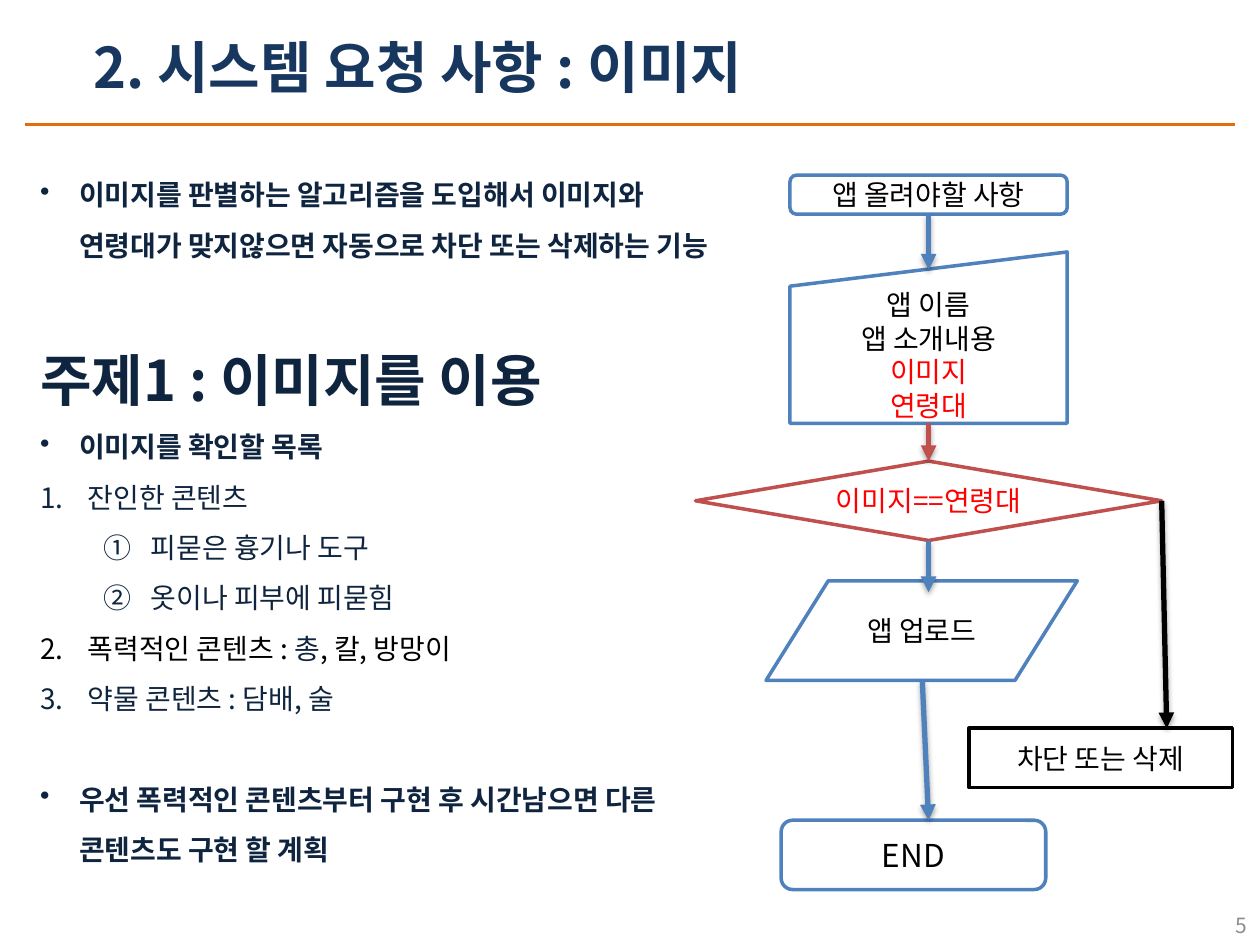
from dataclasses import dataclass
from lxml.etree import SubElement
from pptx import Presentation
from pptx.dml.color import RGBColor
from pptx.enum.shapes import MSO_CONNECTOR, MSO_SHAPE
from pptx.enum.text import MSO_ANCHOR, PP_ALIGN
from pptx.oxml.ns import qn
from pptx.util import Inches, Pt

NAVY = RGBColor(0x17, 0x37, 0x5E)
DARK_NAVY = RGBColor(0x0F, 0x24, 0x3E)
ORANGE = RGBColor(0xE4, 0x6C, 0x0A)
BLUE = RGBColor(0x4F, 0x81, 0xBD)
BRICK = RGBColor(0xC0, 0x50, 0x4D)
RED = RGBColor(0xFF, 0x00, 0x00)
GRAY = RGBColor(0x8C, 0x8C, 0x8C)
BLACK = RGBColor(0x00, 0x00, 0x00)
WHITE = RGBColor(0xFF, 0xFF, 0xFF)

COLUMNS, ROWS = 100, 75
BULLET = ("buChar", {"char": "•"}, 0.31, 0.31)
NUMBER = ("buAutoNum", {"type": "arabicPeriod"}, 0.38, 0.38)
CIRCLED = ("buAutoNum", {"type": "circleNumDbPlain"}, 0.88, 0.38)
BLANK_LINE = 28.8


def write(paragraph, text, size=16, color=BLACK, bold=False, font="Noto Sans CJK KR",
          align=PP_ALIGN.LEFT, spacing=None, before=0, level=0, marker=None):
    paragraph.alignment = align
    paragraph.level = level
    paragraph.space_before = Pt(before)
    if spacing:
        paragraph.line_spacing = spacing
    if marker:
        tag, attributes, margin, hanging = marker
        properties = paragraph._p.get_or_add_pPr()
        properties.set("marL", str(Inches(margin)))
        properties.set("indent", str(-Inches(hanging)))
        SubElement(properties, qn("a:" + tag), attributes)
    parts = [(text, color)] if isinstance(text, str) else text
    for part, part_color in parts:
        run = paragraph.add_run()
        run.text = part
        run.font.size = Pt(size)
        run.font.bold = bold
        run.font.color.rgb = part_color
        run.font.name = font
        SubElement(run._r.get_or_add_rPr(), qn("a:ea"), typeface=font)


def fill_frame(frame, lines, anchor=MSO_ANCHOR.TOP, wrap=True, **style):
    frame.word_wrap = wrap
    frame.vertical_anchor = anchor
    for index, (text, options) in enumerate(lines):
        paragraph = frame.add_paragraph() if index else frame.paragraphs[0]
        write(paragraph, text, **{**style, **options})


@dataclass
class SlideBuilder:
    presentation: object
    slide: object

    def x(self, columns):
        return round(self.presentation.slide_width * columns / COLUMNS)

    def y(self, rows):
        return round(self.presentation.slide_height * rows / ROWS)

    def box(self, left, top, width, height):
        return self.x(left), self.y(top), self.x(width), self.y(height)

    def title(self, area, text):
        shape = self.slide.shapes.title
        shape.left, shape.top, shape.width, shape.height = self.box(*area)
        fill_frame(shape.text_frame, [(text, {})], wrap=False,
                   size=32, color=NAVY, bold=True)

    def text(self, area, lines, **style):
        shape = self.slide.shapes.add_textbox(*self.box(*area))
        fill_frame(shape.text_frame, lines, **style)

    def node(self, kind, area, lines, line_color=BLUE, **style):
        shape = self.slide.shapes.add_shape(kind, *self.box(*area))
        shape.shadow.inherit = False
        shape.fill.solid()
        shape.fill.fore_color.rgb = WHITE
        shape.line.color.rgb = line_color
        shape.line.width = Pt(2)
        fill_frame(shape.text_frame, lines, anchor=MSO_ANCHOR.MIDDLE,
                   align=PP_ALIGN.CENTER, **style)
        return shape

    def line(self, start, end, color, width):
        connector = self.slide.shapes.add_connector(
            MSO_CONNECTOR.STRAIGHT, self.x(start[0]), self.y(start[1]),
            self.x(end[0]), self.y(end[1]))
        connector.line.color.rgb = color
        connector.line.width = Pt(width)
        effects = SubElement(connector._element.spPr, qn("a:effectLst"))
        return connector, effects

    def arrow(self, start, end, color=BLUE, source=None, target=None):
        connector, effects = self.line(start, end, color, 3)
        SubElement(connector.line._get_or_add_ln(), qn("a:tailEnd"), type="triangle")
        shadow = SubElement(effects, qn("a:outerShdw"), blurRad=str(Pt(3.1)),
                            dist=str(Pt(1.8)), dir="5400000", rotWithShape="0")
        shade = SubElement(shadow, qn("a:srgbClr"), val=str(BLACK))
        SubElement(shade, qn("a:alpha"), val="35000")
        if source:
            connector.begin_connect(*source)
        if target:
            connector.end_connect(*target)


def main():
    presentation = Presentation()
    presentation.slide_width, presentation.slide_height = Inches(10), Inches(7.5)
    slide = presentation.slides.add_slide(presentation.slide_layouts[5])
    builder = SlideBuilder(presentation, slide)

    builder.line((2, 9.9), (98, 9.9), ORANGE, 1.5)
    builder.title((6.4, 2.1, 59.7, 6.4), "2. 시스템 요청 사항 : 이미지")
    builder.text((76.7, 72.1, 23.3, 2.7), [("5", {})], anchor=MSO_ANCHOR.MIDDLE,
                 size=12, color=GRAY, align=PP_ALIGN.RIGHT)

    point = {"marker": BULLET, "bold": True}
    item = {"marker": NUMBER}
    detail = {"marker": CIRCLED, "level": 1}
    violence = [("폭력적인 콘텐츠 : ", BLACK), ("총", DARK_NAVY), (", 칼, 방망이", BLACK)]
    builder.text((2.2, 12.3, 56.7, 61.6), [
        ("이미지를 판별하는 알고리즘을 도입해서 이미지와 연령대가 맞지않으면 "
         "자동으로 차단 또는 삭제하는 기능", point),
        ("주제1 : 이미지를 이용", {"size": 32, "bold": True, "before": BLANK_LINE}),
        ("이미지를 확인할 목록", point),
        ("잔인한 콘텐츠", item),
        ("피묻은 흉기나 도구", detail),
        ("옷이나 피부에 피묻힘", detail),
        (violence, item),
        ("약물 콘텐츠 : 담배, 술", item),
        ("우선 폭력적인 콘텐츠부터 구현 후 시간남으면 다른 콘텐츠도 구현 할 계획",
         {**point, "before": BLANK_LINE}),
    ], color=DARK_NAVY, spacing=1.5)

    start = builder.node(MSO_SHAPE.FLOWCHART_ALTERNATE_PROCESS, (62.7, 13.9, 22, 3.1),
                         [("앱 올려야할 사항", {})])
    details = builder.node(MSO_SHAPE.FLOWCHART_MANUAL_INPUT, (62.7, 20, 22, 13.6), [
        ("앱 이름", {}), ("앱 소개내용", {}),
        ("이미지", {"color": RED}), ("연령대", {"color": RED})])
    decision = builder.node(MSO_SHAPE.FLOWCHART_DECISION, (55.2, 36.6, 37, 6.3),
                            [("이미지==연령대", {})], BRICK, color=RED)
    builder.node(MSO_SHAPE.FLOWCHART_DATA, (60.8, 46.1, 24.7, 7.9), [("앱 업로드", {})])
    builder.node(MSO_SHAPE.FLOWCHART_PROCESS, (76.9, 57.8, 20.9, 4.7),
                 [("차단 또는 삭제", {})], BLACK)
    builder.node(MSO_SHAPE.FLOWCHART_ALTERNATE_PROCESS, (62, 65.1, 21, 5.5),
                 [("END", {})], size=18)

    middle = 73.7
    builder.arrow((middle, 17), (middle, 21.4), source=(start, 2))
    builder.arrow((middle, 33.6), (middle, 36.6), BRICK, (details, 2), (decision, 0))
    builder.arrow((middle, 42.9), (middle, 47), source=(decision, 2))
    builder.arrow((73.2, 54), (middle, 65.1))
    builder.arrow((92.2, 39.7), (92.6, 57.8), BLACK, (decision, 3))

    presentation.save("out.pptx")


if __name__ == "__main__":
    main()
